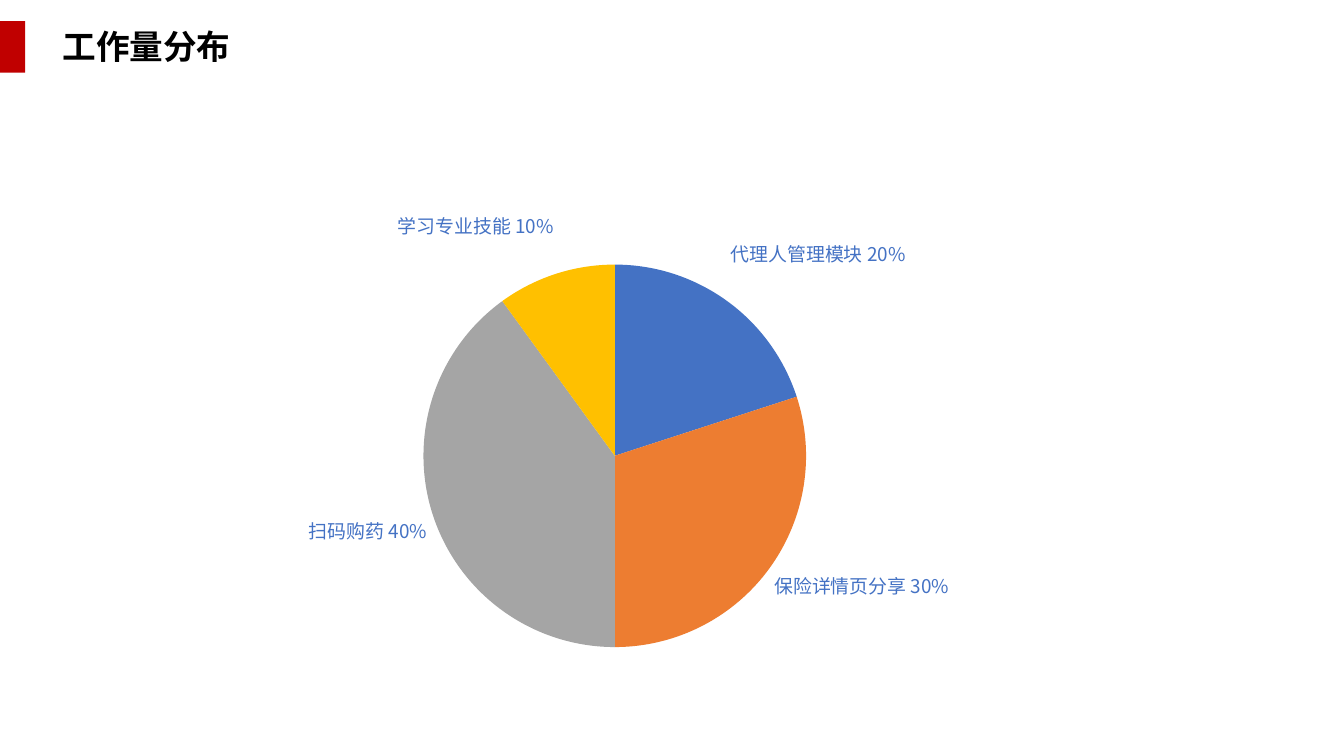
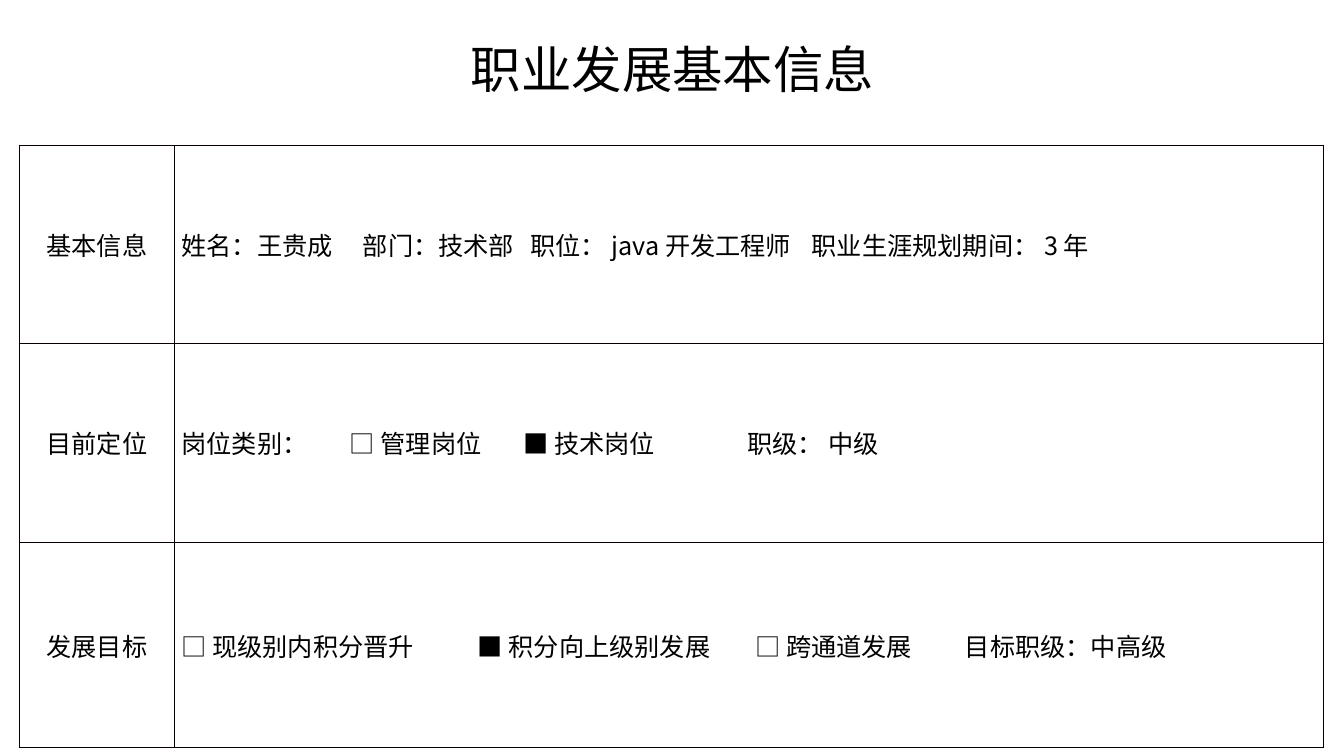
"""Build a workload pie slide and a career information table slide."""
from lxml import etree
from pptx import Presentation
from pptx.chart.data import CategoryChartData
from pptx.dml.color import RGBColor
from pptx.enum.chart import XL_CHART_TYPE, XL_LABEL_POSITION
from pptx.enum.shapes import MSO_SHAPE
from pptx.enum.text import MSO_ANCHOR, MSO_AUTO_SIZE, PP_ALIGN
from pptx.oxml import parse_xml
from pptx.oxml.ns import nsdecls, qn
from pptx.util import Inches, Pt

PIE = XL_CHART_TYPE.PIE
OUTSIDE = XL_LABEL_POSITION.OUTSIDE_END
LEFT, CENTER = PP_ALIGN.LEFT, PP_ALIGN.CENTER
TOP, MIDDLE = MSO_ANCHOR.TOP, MSO_ANCHOR.MIDDLE
FONT = "Noto Sans CJK SC"
BLACK, RED, LABEL_BLUE, BORDER = "000000", "C00000", "4472C4", "080000"


def rgb(value):
    return RGBColor.from_string(value)


def write(frame, text, size=18, color=BLACK, bold=False, align=LEFT, spacing=None, tabs=()):
    paragraph = frame.paragraphs[0]
    paragraph.alignment = align
    if spacing:
        paragraph.line_spacing = spacing
    run = paragraph.add_run()
    run.text = text
    run.font.name, run.font.size, run.font.bold = FONT, Pt(size), bold
    run.font.color.rgb = rgb(color)
    etree.SubElement(run.font._element, qn("a:ea"), typeface=FONT)
    if tabs:
        stops = etree.SubElement(paragraph._p.get_or_add_pPr(), qn("a:tabLst"))
        for stop in tabs:
            etree.SubElement(stops, qn("a:tab"), pos=str(Inches(stop)), algn="l")


prs = Presentation()
prs.slide_width, prs.slide_height = Inches(13.33), Inches(7.5)
title_only = prs.slide_layouts[5]

pages = []
for heading, box, anchor, style in [
    ("工作量分布", (0.52, 0.21, 1.88, 0.5), MIDDLE, dict(size=24, bold=True)),
    ("职业发展基本信息", (0.92, 0.4, 11.5, 0.83), TOP, dict(size=36, align=CENTER, spacing=0.9)),
]:
    page = prs.slides.add_slide(title_only)
    title = page.shapes.title
    title.left, title.top, title.width, title.height = map(Inches, box)
    title.text_frame.auto_size = MSO_AUTO_SIZE.NONE
    title.text_frame.word_wrap = anchor == TOP
    title.text_frame.vertical_anchor = anchor
    write(title.text_frame, heading, **style)
    pages.append(page)
workload, career = pages

marker = workload.shapes.add_shape(MSO_SHAPE.RECTANGLE, 0, Inches(0.21), Inches(0.25), Inches(0.51))
marker.shadow.inherit = False
marker.fill.solid()
marker.fill.fore_color.rgb = rgb(RED)
marker.line.fill.background()

shares = [
    ("代理人管理模块", 20, "4472C4", -0.06),
    ("保险详情页分享", 30, "ED7D31", 0),
    ("扫码购药", 40, "A5A5A5", 0),
    ("学习专业技能", 10, "FFC000", -0.06),
]
data = CategoryChartData()
data.categories = [f"{task} {share}%" for task, share, _, _ in shares]
data.add_series("Series 1", [share for _, share, _, _ in shares])
chart = workload.shapes.add_chart(
    PIE, Inches(0.52), Inches(1.92), Inches(11.5), Inches(4.82), data).chart
chart.has_legend = chart.has_title = False
chart.font.name, chart.font.size = FONT, Pt(10)
chart.font.color.rgb = rgb(BLACK)

plot_area = chart._chartSpace.chart.plotArea
for layout in plot_area.findall(qn("c:layout")):
    plot_area.remove(layout)
plot_area.insert(0, parse_xml(
    f'<c:layout {nsdecls("c")}><c:manualLayout><c:layoutTarget val="inner"/>'
    '<c:xMode val="edge"/><c:yMode val="edge"/><c:x val="0.32"/><c:y val="0.14"/>'
    '<c:w val="0.33"/><c:h val="0.8"/></c:manualLayout></c:layout>'))

pie = chart.plots[0].series[0]
for index, (task, share, color, _) in enumerate(shares):
    point = pie.points[index]
    point.format.fill.solid()
    point.format.fill.fore_color.rgb = rgb(color)
    point.format.line.fill.background()
    write(point.data_label.text_frame, f"{task} {share}%", size=13.5, color=LABEL_BLUE)
    point.data_label.position = OUTSIDE
for label, (_, _, _, rise) in zip(plot_area.iter(qn("c:dLbl")), shares):
    if rise:
        label.insert(1, parse_xml(
            f'<c:layout {nsdecls("c")}><c:manualLayout><c:x val="0"/>'
            f'<c:y val="{rise}"/></c:manualLayout></c:layout>'))
for leader in plot_area.iter(qn("c:showLeaderLines")):
    leader.set("val", "0")

details = [
    ("基本信息", "姓名：王贵成\t部门：技术部\t职位： java 开发工程师\t职业生涯规划期间： 3 年",
     (1.8, 3.46, 6.25), 1.97),
    ("目前定位", "岗位类别：\t□ 管理岗位\t■ 技术岗位\t职级： 中级", (1.67, 3.39, 5.61), 1.97),
    ("发展目标", "□ 现级别内积分晋升\t■ 积分向上级别发展\t□ 跨通道发展\t目标职级：中高级",
     (2.94, 5.69, 7.77), 2.04),
]
info = career.shapes.add_table(
    len(details), 2, Inches(0.19), Inches(1.44), Inches(12.94), Inches(5.98)).table
info.first_row = info.horz_banding = False
for column, width in zip(info.columns, (1.54, 11.4)):
    column.width = Inches(width)
for row, (topic, content, tabs, height) in zip(info.rows, details):
    row.height = Inches(height)
    for cell, text, style in zip(
            row.cells, (topic, content), (dict(align=CENTER), dict(tabs=tabs))):
        cell.vertical_anchor = MIDDLE
        cell.margin_left = cell.margin_right = Inches(0.07)
        cell.margin_top = cell.margin_bottom = 0
        write(cell.text_frame, text, **style)
        properties = cell._tc.get_or_add_tcPr()
        for side in ("lnL", "lnR", "lnT", "lnB"):
            properties.append(parse_xml(
                f'<a:{side} {nsdecls("a")} w="{Pt(1)}"><a:solidFill>'
                f'<a:srgbClr val="{BORDER}"/></a:solidFill></a:{side}>'))
        cell.fill.background()

prs.save("out.pptx")
